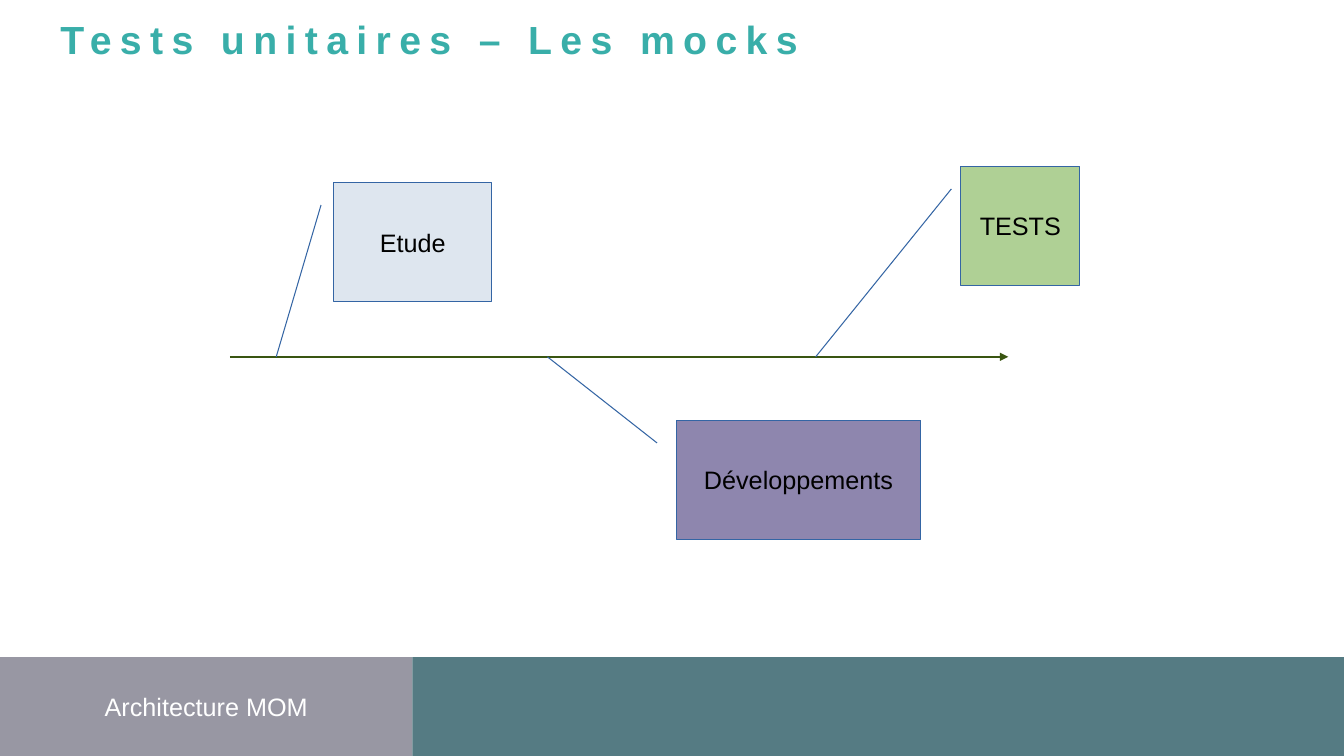
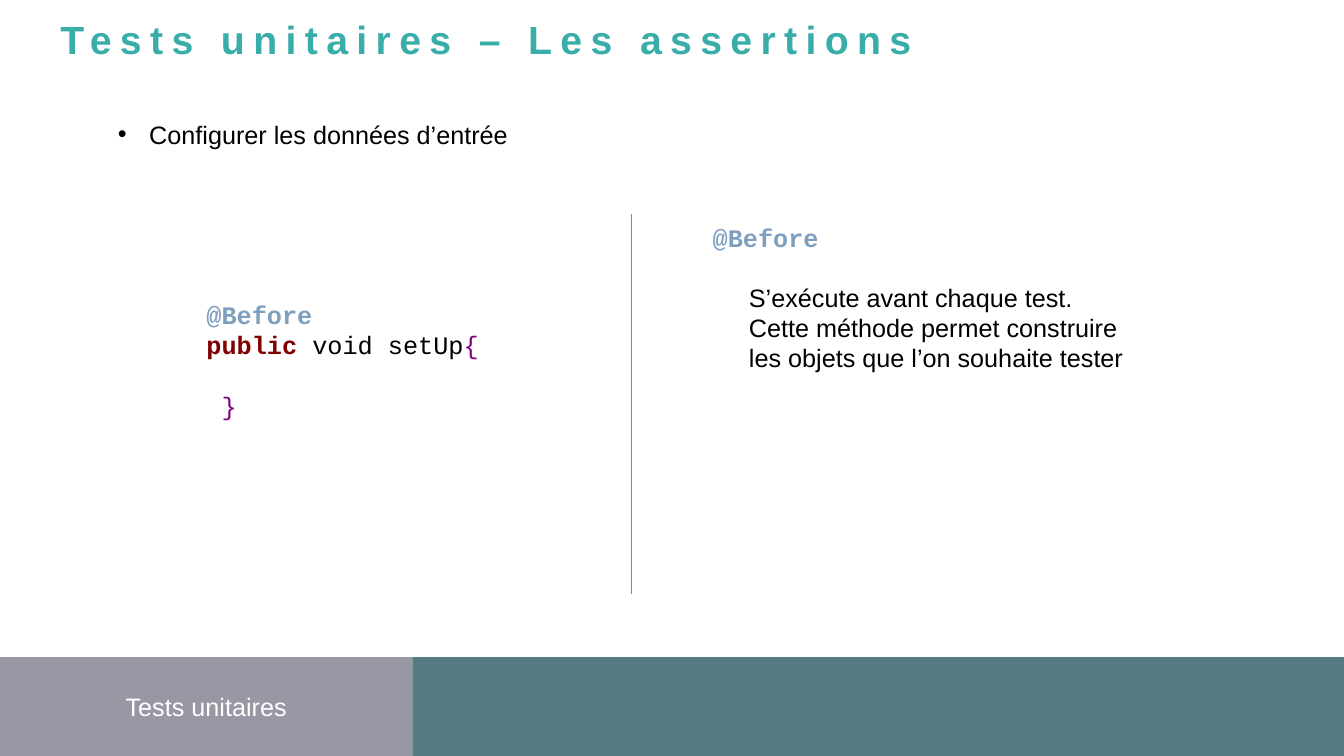
import dataclasses

import lxml.etree
import pptx
import pptx.dml.color
import pptx.enum.shapes
import pptx.enum.text
import pptx.oxml.ns
import pptx.util

PX = 9144  # EMU per px, at 100 px to the inch
ANCHOR = pptx.enum.text.MSO_ANCHOR
ALIGN = pptx.enum.text.PP_ALIGN
SHAPE = pptx.enum.shapes.MSO_SHAPE


@dataclasses.dataclass(frozen=True)
class Theme:
    font: str = "Arial"
    code_font: str = "Courier New"
    title_size: int = 28
    title_leading: int = 25
    title_tracking: int = 6
    body_size: int = 18
    body_leading: float = 21.6
    title: str = "39AEA9"
    text: str = "000000"
    white: str = "FFFFFF"
    footer_left: str = "9897A3"
    footer_right: str = "557B83"
    axis: str = "395511"
    callout_line: str = "3465A4"
    divider: str = "35ADA8"
    annotation: str = "7F9FBF"
    keyword: str = "800000"
    brace: str = "800080"


THEME = Theme()
PAGE = (1333, 750)
FOOTER_TOP, FOOTER_SPLIT = 652, 409
AXIS_Y, AXIS_LEFT, AXIS_RIGHT = 354, 228, 1000

MOCKS = {"title": "Tests unitaires – Les mocks", "footer": "Architecture MOM"}
ASSERTIONS = {"title": "Tests unitaires – Les assertions", "footer": "Tests unitaires"}

# label, (left, top, width, height), fill, where the leader meets the axis
PHASES = [
    ("Etude", (331, 181, 157, 118), "DEE6EF", 274),
    ("Développements", (671, 417, 242, 118), "8E86AE", 543),
    ("TESTS", (953, 165, 118, 118), "AFD095", 809),
]

BULLET = "Configurer les données d’entrée"
ANNOTATION = ("@Before", {"color": THEME.annotation, "bold": True})
CODE = [
    [ANNOTATION],
    [("public ", {"color": THEME.keyword, "bold": True}), ("void setUp", {}),
     ("{", {"color": THEME.brace})],
    [("}", {"color": THEME.brace})],
]
EXPLANATION = ("S’exécute avant chaque test. Cette méthode permet construire "
               "les objets que l’on souhaite tester")


def rgb(value):
    return pptx.dml.color.RGBColor.from_string(value)


def add_xml(parent, tag, **attributes):
    return lxml.etree.SubElement(parent, pptx.oxml.ns.qn(tag), attributes)


def place(shape, box):
    shape.left, shape.top, shape.width, shape.height = (value * PX for value in box)


def write_text(shape, paragraphs, font=THEME.font, size=THEME.body_size,
               color=THEME.text, bold=False, tracking=None, leading=None,
               align=ALIGN.LEFT, anchor=ANCHOR.TOP, margins=(10, 5), wrap=True):
    """Fill a shape; each paragraph is a string or a list of (text, overrides)."""
    frame = shape.text_frame
    frame.word_wrap = wrap
    frame.auto_size = pptx.enum.text.MSO_AUTO_SIZE.NONE
    frame.vertical_anchor = anchor
    frame.margin_left = frame.margin_right = margins[0] * PX
    frame.margin_top = frame.margin_bottom = margins[1] * PX
    for index, content in enumerate(paragraphs):
        para = frame.add_paragraph() if index else frame.paragraphs[0]
        para.alignment = align
        para.space_before = pptx.util.Pt(0)
        if leading:
            para.line_spacing = pptx.util.Pt(leading)
        for text, overrides in [(content, {})] if isinstance(content, str) else content:
            span = para.add_run()
            span.text = text
            span.font.name = font
            span.font.size = pptx.util.Pt(size)
            span.font.bold = overrides.get("bold", bold)
            span.font.color.rgb = rgb(overrides.get("color", color))
            if tracking:
                span.font._element.set("spc", str(tracking * 100))
    return frame


def add_box(page, box, fill, line=None, kind=SHAPE.RECTANGLE):
    shape = page.shapes.add_shape(kind, *(value * PX for value in box))
    shape.shadow.inherit = False
    shape.fill.solid()
    shape.fill.fore_color.rgb = rgb(fill)
    if line:
        shape.line.color.rgb = rgb(line)
        shape.line.width = pptx.util.Pt(0.75)
    else:
        shape.line.fill.background()
    return shape


def add_text_box(page, box, paragraphs, **text_format):
    shape = page.shapes.add_textbox(*(value * PX for value in box))
    return write_text(shape, paragraphs, **text_format)


def add_line(page, start, end, color, width, arrow=False):
    line = page.shapes.add_connector(
        pptx.enum.shapes.MSO_CONNECTOR.STRAIGHT,
        *(value * PX for value in start + end))
    line.line.color.rgb = rgb(color)
    line.line.width = pptx.util.Pt(width)
    if arrow:
        add_xml(line.line._get_or_add_ln(), "a:tailEnd", type="triangle")
    add_xml(line._element.spPr, "a:effectLst")


def add_page(deck, layout, content):
    """Add a slide with the shared title and footer bands."""
    page = deck.slides.add_slide(deck.slide_layouts.get_by_name(layout))
    place(page.shapes.title, (60, 27, 940, 35))
    write_text(page.shapes.title, [content["title"]], size=THEME.title_size,
               color=THEME.title, bold=True, tracking=THEME.title_tracking,
               leading=THEME.title_leading, margins=(0, 0))
    height = PAGE[1] - FOOTER_TOP
    label = add_box(page, (0, FOOTER_TOP, FOOTER_SPLIT, height), THEME.footer_left)
    write_text(label, [content["footer"]], color=THEME.white,
               align=ALIGN.CENTER, anchor=ANCHOR.MIDDLE)
    add_box(page, (FOOTER_SPLIT, FOOTER_TOP, PAGE[0] - FOOTER_SPLIT, height),
            THEME.footer_right)
    return page


def add_phase(page, label, box, fill, tip):
    """Draw a callout whose leader ends on the time axis at x = tip."""
    left, top, width, height = box
    callout = add_box(page, box, fill, THEME.callout_line, SHAPE.LINE_CALLOUT_1)
    leader = (0.19, -0.08, (AXIS_Y - top) / height, (tip - left) / width)
    for index, value in enumerate(leader):
        callout.adjustments[index] = value
    write_text(callout, [label], align=ALIGN.CENTER, anchor=ANCHOR.MIDDLE, wrap=False)


def set_bullet(para, indent):
    properties = para._p.get_or_add_pPr()
    properties.set("marL", str(indent * PX))
    properties.set("indent", str(-indent * PX))
    add_xml(add_xml(properties, "a:buClr"), "a:srgbClr", val=THEME.text)
    add_xml(properties, "a:buFont", typeface=THEME.font)
    add_xml(properties, "a:buChar", char="•")


def build_mocks(deck):
    page = add_page(deck, "Title Only", MOCKS)
    add_line(page, (AXIS_LEFT, AXIS_Y), (AXIS_RIGHT, AXIS_Y), THEME.axis, 1, arrow=True)
    for phase in PHASES:
        add_phase(page, *phase)


def build_assertions(deck):
    page = add_page(deck, "Title and Content", ASSERTIONS)
    body = page.placeholders[1]
    place(body, (107, 113, 654, 40))
    set_bullet(write_text(body, [BULLET], leading=THEME.body_leading).paragraphs[0], 31)

    code_format = {"font": THEME.code_font, "leading": THEME.body_leading}
    code = add_box(page, (195, 292, 397, 130), THEME.white)
    closing = write_text(code, CODE, anchor=ANCHOR.MIDDLE, **code_format).paragraphs[-1]
    closing.space_before = pptx.util.Pt(THEME.body_leading)
    closing._p.get_or_add_pPr().set("marL", str(15 * PX))

    add_line(page, (626, 212), (626, 589), THEME.divider, 0.75)
    add_text_box(page, (697, 216, 155, 40), [[ANNOTATION]], **code_format)
    add_text_box(page, (733, 275, 404, 100), [EXPLANATION], leading=THEME.body_leading)


def main():
    deck = pptx.Presentation()
    deck.slide_width, deck.slide_height = (value * PX for value in PAGE)
    build_mocks(deck)
    build_assertions(deck)
    deck.save("out.pptx")


if __name__ == "__main__":
    main()
